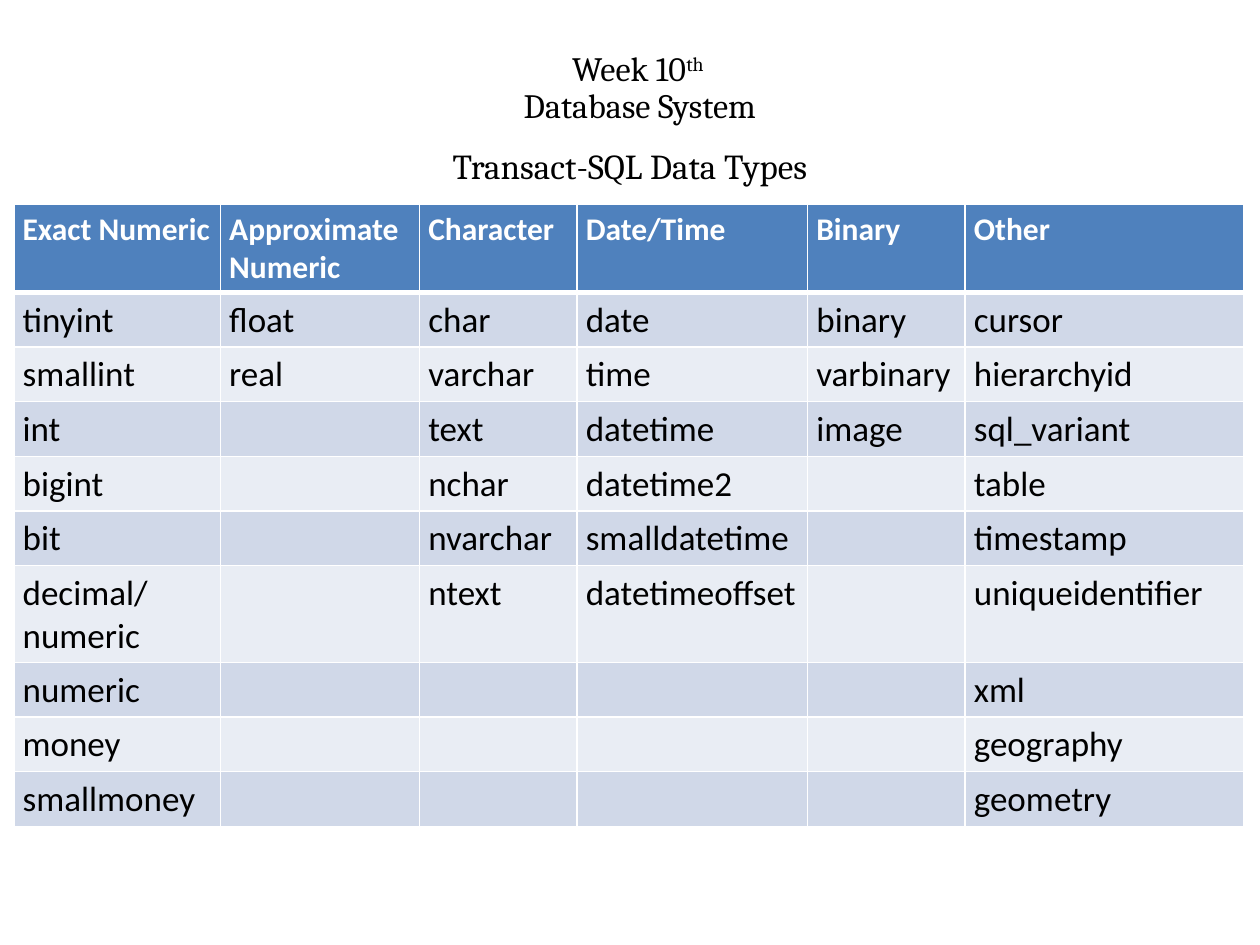
from lxml import etree
from pptx import Presentation
from pptx.dml.color import RGBColor
from pptx.enum.text import MSO_ANCHOR, PP_ALIGN
from pptx.oxml.ns import qn
from pptx.util import Inches, Pt

CENTER = PP_ALIGN.CENTER
MIDDLE = MSO_ANCHOR.MIDDLE
BLACK, WHITE = "000000", "FFFFFF"
HEADER_FILL, BAND_FILLS = "4F81BD", ("D0D8E8", "E9EDF4")
COL_WIDTHS = (1.64, 1.58, 1.25, 1.83, 1.25, 2.21)
ROW_HEIGHT = 0.41
DATA_TYPES = {
    "Exact Numeric": ["tinyint", "smallint", "int", "bigint", "bit",
                      "decimal/numeric", "numeric", "money", "smallmoney"],
    "Approximate Numeric": ["float", "real"],
    "Character": ["char", "varchar", "text", "nchar", "nvarchar", "ntext"],
    "Date/Time": ["date", "time", "datetime", "datetime2",
                  "smalldatetime", "datetimeoffset"],
    "Binary": ["binary", "varbinary", "image"],
    "Other": ["cursor", "hierarchyid", "sql_variant", "table", "timestamp",
              "uniqueidentifier", "xml", "geography", "geometry"],
}


def rgb(color):
    """Turn a hex string into a colour."""
    return RGBColor.from_string(color)


def style_font(font, name, size, color, bold=False):
    """Set the face, size, colour and weight of a font."""
    font.name, font.size, font.bold = name, Pt(size), bold
    font.color.rgb = rgb(color)


def add_centered_box(s, left, top, width, height):
    """Add a wrapping, middle-anchored text box and return its paragraph."""
    tf = s.shapes.add_textbox(*map(Inches, (left, top, width, height))).text_frame
    tf.word_wrap = True
    tf.vertical_anchor = MIDDLE
    p = tf.paragraphs[0]
    p.alignment = CENTER
    return p


def add_course_heading(s, *box):
    """Write the week and the course name on two lines."""
    p = add_centered_box(s, *box)
    p.line_spacing = 0.9
    p.text = "Week 10"
    ordinal = p.add_run()
    ordinal.text = "th "
    p.add_line_break()
    p.add_run().text = "Database System"
    for r in p.runs:
        style_font(r.font, "Cambria", 19.5, BLACK)
    ordinal.font._element.set("baseline", "30000")


def add_title(s, *box):
    """Write the slide title."""
    p = add_centered_box(s, *box)
    p.text = "Transact-SQL Data Types"
    style_font(p.runs[0].font, "Cambria", 20, BLACK)


def set_borders(cell, bottom):
    """Draw white cell borders, with the given bottom width in points."""
    tc_pr = cell._tc.get_or_add_tcPr()
    for side, width in (("L", 1), ("R", 1), ("T", 1), ("B", bottom)):
        ln = etree.SubElement(tc_pr, qn("a:ln" + side), w=str(Pt(width)))
        fill = etree.SubElement(ln, qn("a:solidFill"))
        etree.SubElement(fill, qn("a:srgbClr"), val=WHITE)


def format_cell(cell, text, is_header, fill):
    """Fill one cell with its text, borders and colour."""
    set_borders(cell, 3 if is_header else 1)
    cell.fill.solid()
    cell.fill.fore_color.rgb = rgb(fill)
    cell.margin_left = cell.margin_right = Inches(0.07)
    cell.margin_top = cell.margin_bottom = Inches(0.05)
    cell.text = text
    for r in cell.text_frame.paragraphs[0].runs:
        style_font(r.font, "Calibri", 18 if is_header else 20,
                   WHITE if is_header else BLACK, is_header)


def add_type_table(s, left, top):
    """Lay out the data types, one category per column."""
    n_rows = 1 + max(map(len, DATA_TYPES.values()))
    table = s.shapes.add_table(
        n_rows, len(DATA_TYPES), Inches(left), Inches(top),
        Inches(sum(COL_WIDTHS)), Inches(n_rows * ROW_HEIGHT)).table
    for col, (category, names) in enumerate(DATA_TYPES.items()):
        table.columns[col].width = Inches(COL_WIDTHS[col])
        texts = [category] + names + [""] * (n_rows - 1 - len(names))
        for row, text in enumerate(texts):
            fill = BAND_FILLS[(row - 1) % 2] if row else HEADER_FILL
            format_cell(table.cell(row, col), text, row == 0, fill)


def build():
    """Build the slide and save it."""
    prs = Presentation()
    prs.slide_width, prs.slide_height = Inches(10), Inches(7.5)
    s = prs.slides.add_slide(prs.slide_layouts[6])
    add_title(s, 0.5, 1.08, 9, 0.47)
    add_type_table(s, 0.11, 1.62)
    add_course_heading(s, 0.83, 0.33, 8.5, 0.75)
    prs.save("out.pptx")


build()
